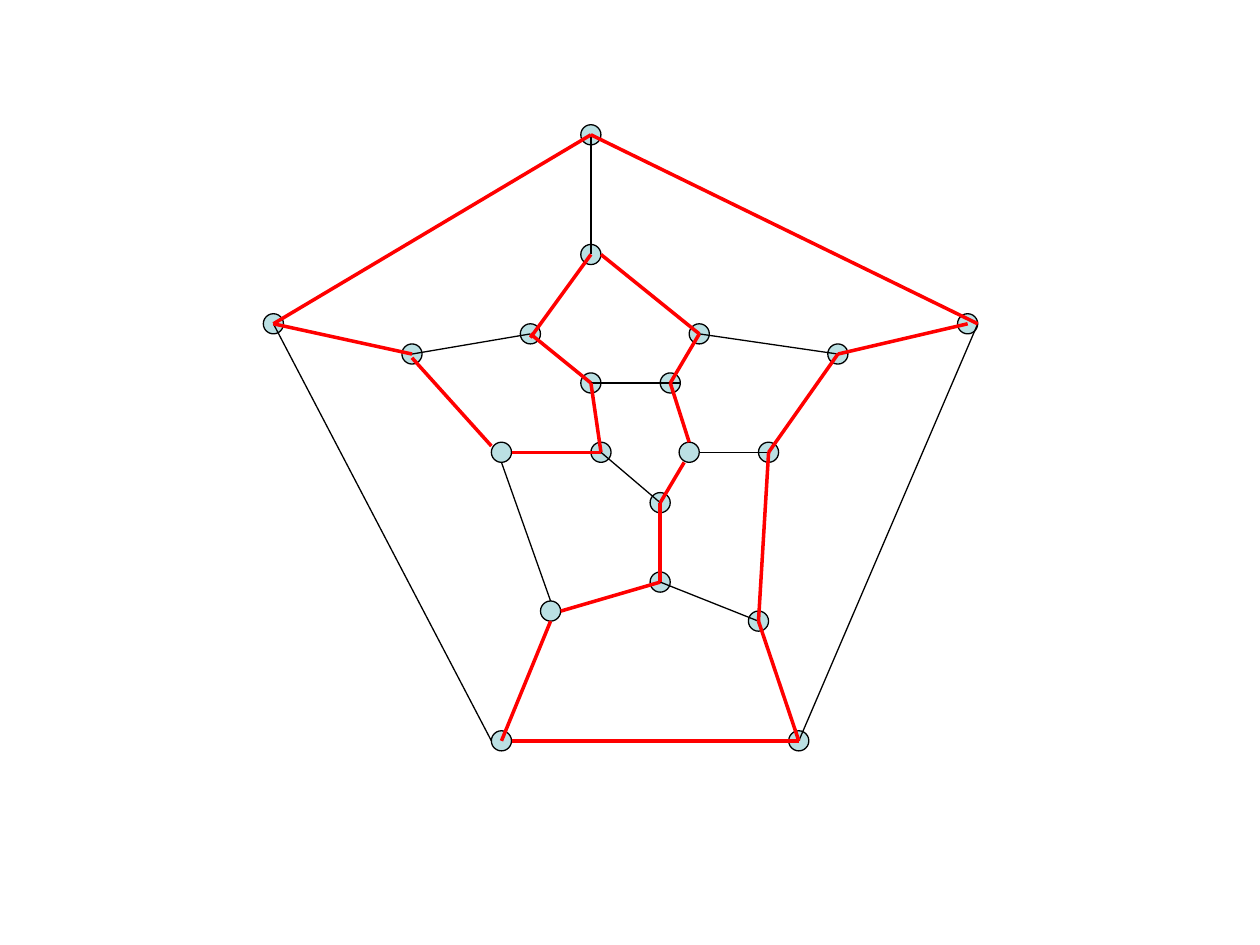
import pptx
import pptx.util
import pptx.dml.color
import pptx.enum.shapes
import pptx.oxml
from pptx.util import Inches

COLORS = {"node": "BBE0E3", "edge": "000000", "cycle": "FF0000"}
DIAMETER = 0.16
R = DIAMETER / 2

NODES = {
    "outer top": (4.69, 1.07),
    "outer left": (2.17, 2.57),
    "outer right": (7.68, 2.57),
    "outer bottom left": (3.98, 5.88),
    "outer bottom right": (6.34, 5.88),
    "mid top": (4.69, 2.02),
    "mid left": (3.27, 2.81),
    "mid right": (6.65, 2.81),
    "mid bottom left": (4.37, 4.85),
    "mid bottom right": (6.02, 4.93),
    "core top left": (4.69, 3.04),
    "ring top right": (5.55, 2.65),
    "ring left": (3.98, 3.59),
    "ring right": (6.1, 3.59),
    "ring top left": (4.21, 2.65),
    "ring bottom": (5.24, 4.62),
    "core bottom": (5.24, 3.99),
    "core left": (4.77, 3.59),
    "core top right": (5.32, 3.04),
    "core right": (5.47, 3.59),
}

CENTER, TOP, LEFT, BOTTOM, RIGHT = (0, 0), (0, -R), (-R, 0), (0, R), (R, 0)

PLAIN_EDGES = [
    ("outer left", CENTER, "outer bottom left", LEFT),
    ("outer right", RIGHT, "outer bottom right", CENTER),
    ("outer top", CENTER, "mid top", CENTER),
    ("ring left", BOTTOM, "mid bottom left", TOP),
    ("ring bottom", CENTER, "mid bottom right", CENTER),
    ("mid left", CENTER, "ring top left", CENTER),
    ("ring top right", CENTER, "mid right", CENTER),
    ("core top left", CENTER, "core top right", RIGHT),
    ("core right", RIGHT, "ring right", CENTER),
    ("core left", CENTER, "core bottom", CENTER),
]

CYCLE_EDGES = [
    ("outer top", CENTER, "outer left", CENTER),
    ("outer left", CENTER, "mid left", CENTER),
    ("mid left", (0, 0.03), "ring left", (-R, -0.05)),
    ("ring left", RIGHT, "core left", CENTER),
    ("core top left", CENTER, "core left", CENTER),
    ("ring top left", CENTER, "core top left", CENTER),
    ("mid top", CENTER, "ring top left", (0, 0.03)),
    ("mid top", RIGHT, "ring top right", CENTER),
    ("ring top right", CENTER, "core top right", CENTER),
    ("core top right", CENTER, "core right", TOP),
    ("core right", (-0.04, R), "core bottom", CENTER),
    ("core bottom", CENTER, "ring bottom", CENTER),
    ("ring bottom", CENTER, "mid bottom left", RIGHT),
    ("mid bottom left", BOTTOM, "outer bottom left", CENTER),
    ("outer bottom left", RIGHT, "outer bottom right", CENTER),
    ("mid bottom right", CENTER, "outer bottom right", CENTER),
    ("ring right", CENTER, "mid bottom right", CENTER),
    ("mid right", CENTER, "ring right", CENTER),
    ("outer right", CENTER, "mid right", CENTER),
    ("outer top", CENTER, "outer right", RIGHT),
]


def rgb(key):
    return pptx.dml.color.RGBColor.from_string(COLORS[key])


def set_line(shape, color, width):
    shape.line.color.rgb = rgb(color)
    shape.line.width = pptx.util.Pt(width)


def add_node(s, x, y):
    node = s.shapes.add_shape(
        pptx.enum.shapes.MSO_SHAPE.OVAL,
        Inches(x - R), Inches(y - R), Inches(DIAMETER), Inches(DIAMETER))
    node.shadow.inherit = False
    node.fill.solid()
    node.fill.fore_color.rgb = rgb("node")
    set_line(node, "edge", 0.75)


def end_point(name, offset):
    return [Inches(c + d) for c, d in zip(NODES[name], offset)]


def add_edge(s, edge, color, width):
    start, start_offset, end, end_offset = edge
    line = s.shapes.add_connector(
        pptx.enum.shapes.MSO_CONNECTOR.STRAIGHT,
        *end_point(start, start_offset), *end_point(end, end_offset))
    set_line(line, color, width)
    line._element.spPr.append(pptx.oxml.parse_xml(
        '<a:effectLst xmlns:a="http://schemas.openxmlformats.org/drawingml/2006/main"/>'))


def main():
    prs = pptx.Presentation()
    prs.slide_width, prs.slide_height = Inches(10), Inches(7.5)
    s = prs.slides.add_slide(prs.slide_layouts[6])
    for x, y in NODES.values():
        add_node(s, x, y)
    for edge in PLAIN_EDGES:
        add_edge(s, edge, "edge", 0.75)
    for edge in CYCLE_EDGES:
        add_edge(s, edge, "cycle", 2)
    prs.save("out.pptx")


if __name__ == "__main__":
    main()
